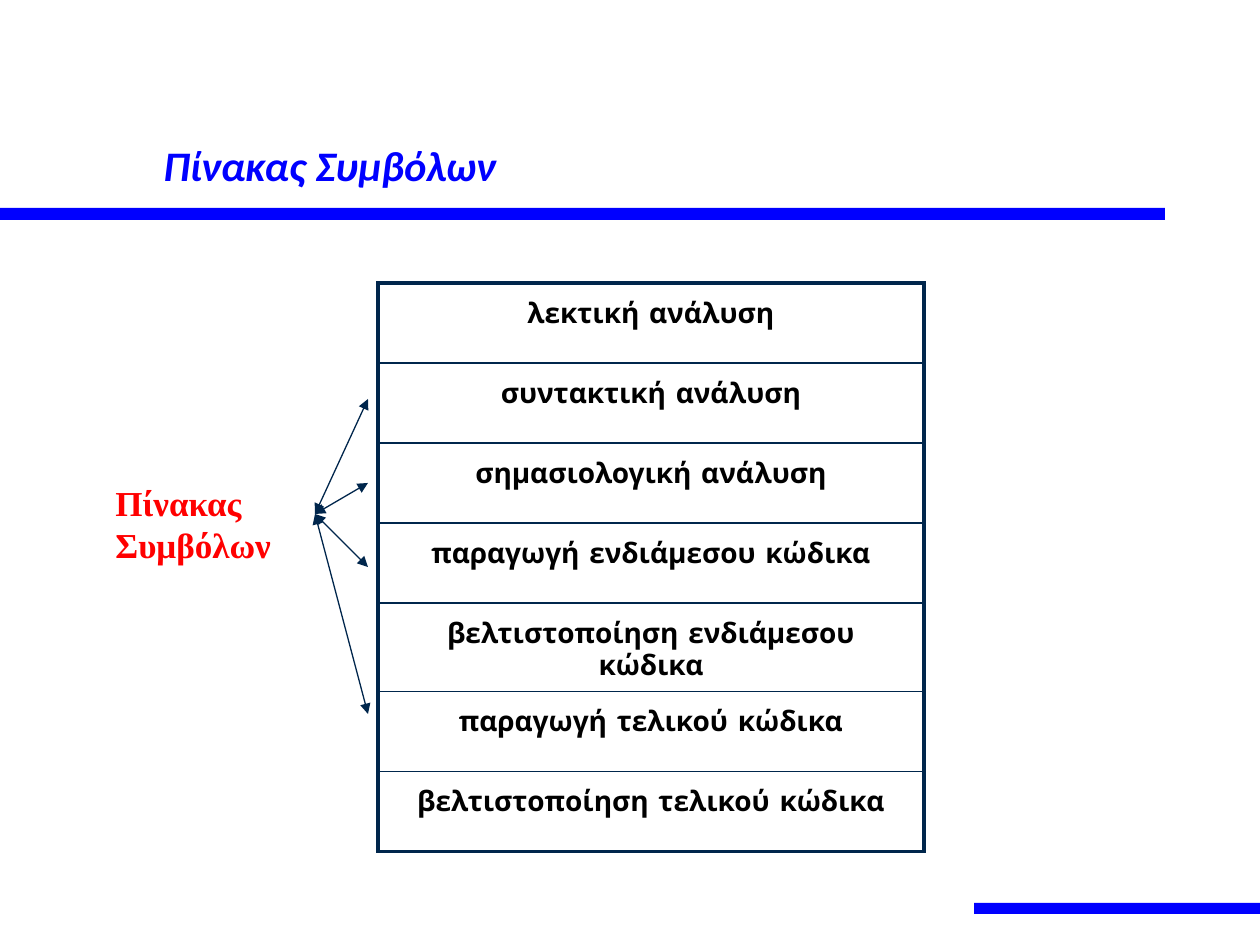
from lxml import etree
from pptx import Presentation
from pptx.dml.color import RGBColor
from pptx.enum.shapes import MSO_CONNECTOR, MSO_SHAPE
from pptx.enum.text import MSO_ANCHOR, PP_ALIGN
from pptx.oxml.ns import qn
from pptx.util import Emu, Pt

STRAIGHT = MSO_CONNECTOR.STRAIGHT
RECTANGLE = MSO_SHAPE.RECTANGLE
BOTTOM = MSO_ANCHOR.BOTTOM
TOP = MSO_ANCHOR.TOP
CENTER = PP_ALIGN.CENTER

COLORS = {"blue": "0000FF", "navy": "00264C", "red": "FF0000", "black": "000000"}
TITLE = "Πίνακας Συμβόλων"
LABEL = "Πίνακας\nΣυμβόλων"
PHASES = [
    "λεκτική ανάλυση",
    "συντακτική ανάλυση",
    "σημασιολογική ανάλυση",
    "παραγωγή ενδιάμεσου κώδικα",
    "βελτιστοποίηση ενδιάμεσου κώδικα",
    "παραγωγή τελικού κώδικα",
    "βελτιστοποίηση τελικού κώδικα",
]
BARS = [(0, 208, 1165, 12), (974, 903, 286, 11)]
TABLE_LEFT, TABLE_TOP, TABLE_WIDTH, ROW_HEIGHT = 378, 283, 546, 80
ARROW_START = (315, 514)
ARROW_END_X = 368
ARROW_END_YS = [399, 483, 567, 714]
OUTER_BORDER, INNER_BORDER = 2.25, 1


def px(value):
    return Emu(round(value * 914400 / 126))


def color(name):
    return RGBColor.from_string(COLORS[name])


def style_text(text_frame, font_name, size, color_name, italic=False):
    for paragraph in text_frame.paragraphs:
        for run in paragraph.runs:
            run.font.name = font_name
            run.font.size = Pt(size)
            run.font.bold = True
            run.font.italic = italic
            run.font.color.rgb = color(color_name)


def add_bar(slide, box):
    bar = slide.shapes.add_shape(RECTANGLE, *map(px, box))
    bar.shadow.inherit = False
    bar.fill.solid()
    bar.fill.fore_color.rgb = color("blue")
    bar.line.fill.background()


def add_text(slide, box, text, wrap, anchor):
    text_frame = slide.shapes.add_textbox(*map(px, box)).text_frame
    text_frame.word_wrap = wrap
    text_frame.vertical_anchor = anchor
    text_frame.text = text
    return text_frame


def set_border(cell, side, width):
    properties = cell._tc.get_or_add_tcPr()
    line = etree.SubElement(properties, qn(f"a:ln{side}"), w=str(Pt(width)))
    fill = etree.SubElement(line, qn("a:solidFill"))
    etree.SubElement(fill, qn("a:srgbClr"), val=COLORS["navy"])


def add_phase_table(slide):
    count = len(PHASES)
    box = (TABLE_LEFT, TABLE_TOP, TABLE_WIDTH, ROW_HEIGHT * count)
    table = slide.shapes.add_table(count, 1, *map(px, box)).table
    table.first_row = False
    table.horz_banding = False
    for index, phase in enumerate(PHASES):
        table.rows[index].height = px(ROW_HEIGHT)
        cell = table.cell(index, 0)
        cell.text_frame.text = phase
        cell.margin_top = px(15)
        style_text(cell.text_frame, "Comic Neue", 16, "black")
        paragraph = cell.text_frame.paragraphs[0]
        paragraph.alignment = CENTER
        spacing = etree.SubElement(paragraph._p.get_or_add_pPr(), qn("a:spcBef"))
        etree.SubElement(spacing, qn("a:spcPct"), val="50000")
        widths = {
            "L": OUTER_BORDER,
            "R": OUTER_BORDER,
            "T": OUTER_BORDER if index == 0 else INNER_BORDER,
            "B": OUTER_BORDER if index == count - 1 else INNER_BORDER,
        }
        for side, width in widths.items():
            set_border(cell, side, width)
        cell.fill.background()


def add_double_arrow(slide, end_y):
    points = (*ARROW_START, ARROW_END_X, end_y)
    arrow = slide.shapes.add_connector(STRAIGHT, *map(px, points))
    arrow.line.color.rgb = color("navy")
    arrow.line.width = Pt(0.75)
    line = arrow.line._get_or_add_ln()
    for end in ("headEnd", "tailEnd"):
        etree.SubElement(line, qn(f"a:{end}"), type="triangle")
    etree.SubElement(arrow._element.spPr, qn("a:effectLst"))


def main():
    presentation = Presentation()
    presentation.slide_width = px(1260)
    presentation.slide_height = px(945)
    slide = presentation.slides.add_slide(presentation.slide_layouts[6])

    for box in BARS:
        add_bar(slide, box)
    title = add_text(slide, (151, 39, 1071, 157), TITLE, True, BOTTOM)
    style_text(title, "Calibri", 24, "blue", italic=True)
    add_phase_table(slide)
    label = add_text(slide, (103, 475, 183, 97), LABEL, False, TOP)
    style_text(label, "Times New Roman", 20, "red")
    for end_y in ARROW_END_YS:
        add_double_arrow(slide, end_y)

    presentation.save("out.pptx")


if __name__ == "__main__":
    main()
